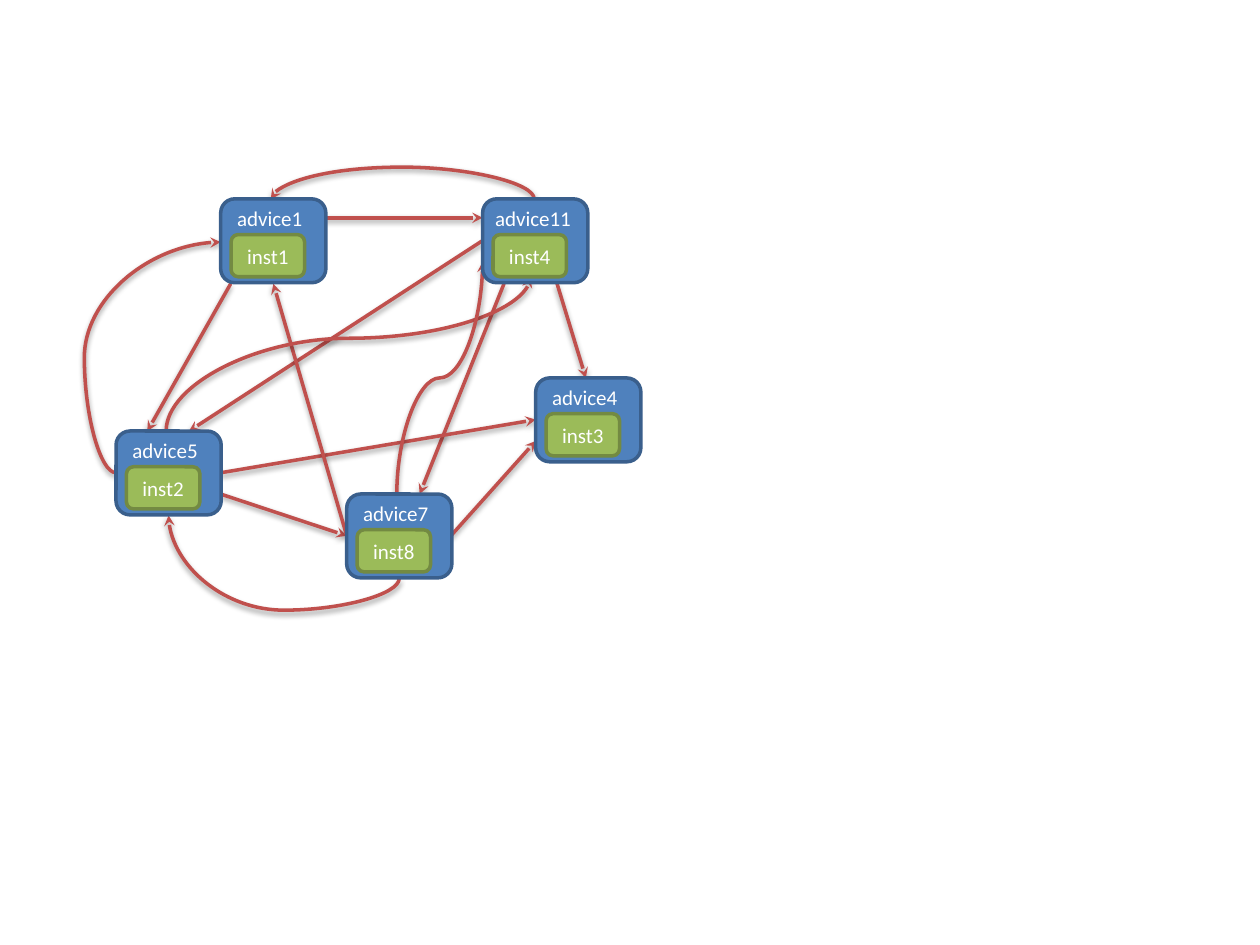
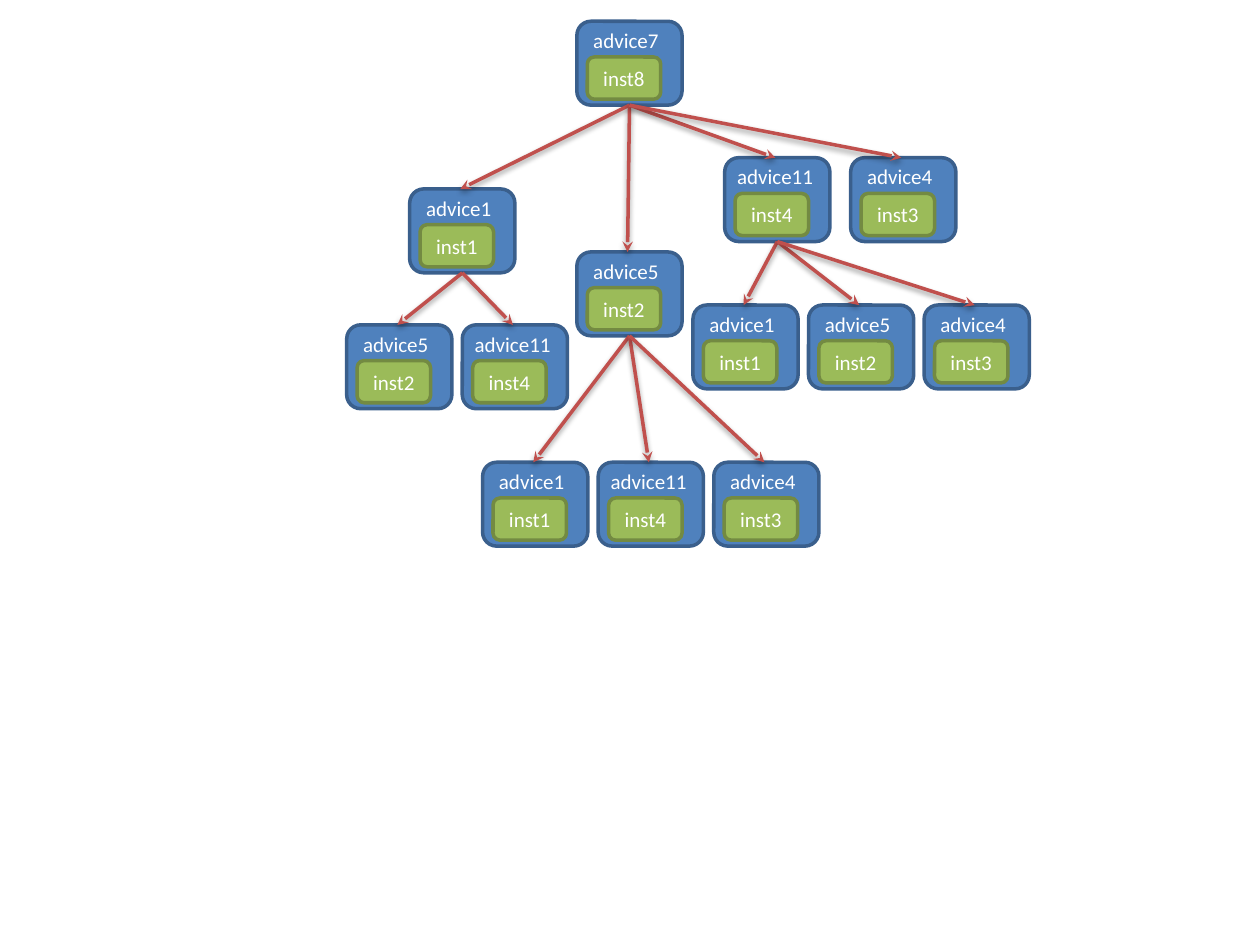
from dataclasses import dataclass
from lxml.etree import SubElement
from pptx import Presentation
from pptx.dml.color import RGBColor
from pptx.enum.shapes import MSO_CONNECTOR, MSO_SHAPE
from pptx.enum.text import MSO_ANCHOR, MSO_AUTO_SIZE, PP_ALIGN
from pptx.oxml import parse_xml
from pptx.oxml.ns import nsdecls, qn
from pptx.util import Cm, Pt

INSTANCES = {"advice1": "inst1", "advice4": "inst3", "advice5": "inst2",
             "advice7": "inst8", "advice11": "inst4"}

GRAPH_NODES = [
    ("advice1", 4.45, 4.01),
    ("advice4", 10.8, 7.62),
    ("advice5", 2.34, 8.69),
    ("advice7", 6.99, 9.96),
    ("advice11", 9.73, 4.01),
]
GRAPH_LINES = [
    ((4.65, 5.72), (2.97, 8.69)),
    ((6.38, 4.39), (9.73, 4.39)),
    ((9.73, 4.85), (3.81, 8.69)),
    ((10.16, 5.72), (8.46, 9.96)),
    ((11.23, 5.72), (11.81, 7.62)),
    ((4.45, 9.96), (6.99, 10.8)),
    ((4.45, 9.53), (10.8, 8.46)),
    ((6.99, 10.8), (5.51, 5.72)),
    ((9.09, 10.8), (10.8, 8.89)),
]
GRAPH_CURVES = [
    ((10.77, 4.01), (5.46, 4.02), 270, "hv", -0.64),
    ((2.34, 9.53), (4.45, 4.88), 180, "h", -0.64),
    ((3.35, 8.69), (10.69, 5.59), 90, "hv", 1.87),
    ((8.05, 11.66), (3.4, 10.39), 90, "h", -0.64),
    ((8, 9.96), (9.73, 5.28), 90, "hv", 2.34),
]

ROOT = ("advice7", 11.63, 0.43)
BRANCHES = [
    (("advice1", 8.26, 3.81), (6.99, 6.55), ["advice5", "advice11"]),
    (("advice5", 11.63, 5.08), (9.73, 9.32), ["advice1", "advice11", "advice4"]),
    (("advice11", 14.61, 3.18), (13.97, 6.15), ["advice1", "advice5", "advice4"]),
    (("advice4", 17.15, 3.18), (0, 0), []),
]
LEAF_STEP = 2.33
BOX_W, BOX_H = 2.12, 1.69
ARRIVAL_X = 1.02


@dataclass(frozen=True)
class Theme:
    advice: RGBColor = RGBColor(0x4F, 0x81, 0xBD)
    advice_edge: RGBColor = RGBColor(0x3A, 0x5F, 0x8C)
    inst: RGBColor = RGBColor(0x9B, 0xBB, 0x59)
    inst_edge: RGBColor = RGBColor(0x73, 0x8A, 0x42)
    arrow: RGBColor = RGBColor(0xC0, 0x50, 0x4D)
    text: RGBColor = RGBColor(0xFF, 0xFF, 0xFF)
    font: str = "Calibri"
    size: Pt = Pt(12)
    stroke: Pt = Pt(2)


THEME = Theme()
SHADOW = (f'<a:effectLst {nsdecls("a")}>'
          '<a:outerShdw blurRad="40000" dist="20000" dir="5400000" rotWithShape="0">'
          '<a:srgbClr val="000000"><a:alpha val="38000"/></a:srgbClr>'
          '</a:outerShdw></a:effectLst>')


def write(tf, text):
    tf.text = text
    f = tf.paragraphs[0].runs[0].font
    f.name, f.size, f.color.rgb = THEME.font, THEME.size, THEME.text


def add_box(shapes, x, y, w, h, fill, edge):
    sp = shapes.add_shape(MSO_SHAPE.ROUNDED_RECTANGLE, Cm(x), Cm(y), Cm(w), Cm(h))
    sp.shadow.inherit = False
    sp.fill.solid()
    sp.fill.fore_color.rgb = fill
    sp.line.color.rgb = edge
    sp.line.width = THEME.stroke
    return sp


def add_node(s, name, x, y):
    shapes = s.shapes.add_group_shape().shapes
    add_box(shapes, x, y, BOX_W, BOX_H, THEME.advice, THEME.advice_edge)
    inst = add_box(shapes, x + 0.21, y + 0.72, 1.48, 0.85, THEME.inst, THEME.inst_edge)
    tf = inst.text_frame
    write(tf, INSTANCES[name])
    tf.vertical_anchor = MSO_ANCHOR.MIDDLE
    tf.paragraphs[0].alignment = PP_ALIGN.CENTER
    indent, width = (0, 2.06) if name == "advice11" else (0.08, 1.85)
    label = shapes.add_textbox(Cm(x + indent), Cm(y), Cm(width), Cm(0.77))
    write(label.text_frame, name)
    label.text_frame.word_wrap = False
    label.text_frame.auto_size = MSO_AUTO_SIZE.SHAPE_TO_FIT_TEXT


def add_arrow(s, start, end, kind=MSO_CONNECTOR.STRAIGHT):
    cx = s.shapes.add_connector(kind, *(Cm(v) for v in start + end))
    cx.line.color.rgb = THEME.arrow
    cx.line.width = THEME.stroke
    SubElement(cx.line._get_or_add_ln(), qn("a:tailEnd"), type="stealth")
    cx._element.spPr.append(parse_xml(SHADOW))
    return cx


def add_curve(s, start, end, turn, flips, reach):
    cx = add_arrow(s, start, end, MSO_CONNECTOR.CURVE)
    (x1, y1), (x2, y2) = start, end
    w, h = abs(x2 - x1), abs(y2 - y1)
    if turn in (90, 270):
        w, h = h, w
    cx.left, cx.top = Cm((x1 + x2 - w) / 2), Cm((y1 + y2 - h) / 2)
    cx.width, cx.height = Cm(w), Cm(h)
    xfrm = cx._element.spPr.find(qn("a:xfrm"))
    xfrm.set("rot", str(turn * 60000))
    for axis in "hv":
        xfrm.set(f"flip{axis.upper()}", str(int(axis in flips)))
    geom = cx._element.spPr.find(qn("a:prstGeom"))
    guides = geom.find(qn("a:avLst"))
    if guides is None:
        guides = SubElement(geom, qn("a:avLst"))
    SubElement(guides, qn("a:gd"), name="adj1", fmla=f"val {round(reach / w * 100000)}")


def link_child(s, parent, child):
    _, px, py = parent
    _, x, y = child
    add_arrow(s, (px + BOX_W / 2, py + BOX_H), (x + ARRIVAL_X, y))


def build_graph(s):
    for start, end in GRAPH_LINES:
        add_arrow(s, start, end)
    for curve in GRAPH_CURVES:
        add_curve(s, *curve)
    for node in GRAPH_NODES:
        add_node(s, *node)


def build_tree(s):
    links = [(ROOT, branch) for branch, _, _ in BRANCHES]
    for branch, (x, y), names in BRANCHES:
        links += [(branch, (name, x + i * LEAF_STEP, y)) for i, name in enumerate(names)]
    for node in [ROOT] + [child for _, child in links]:
        add_node(s, *node)
    for parent, child in links:
        link_child(s, parent, child)


def main():
    prs = Presentation()
    prs.slide_width, prs.slide_height = Cm(25.4), Cm(19.05)
    for build in (build_graph, build_tree):
        build(prs.slides.add_slide(prs.slide_layouts[6]))
    prs.save("out.pptx")


if __name__ == "__main__":
    main()
